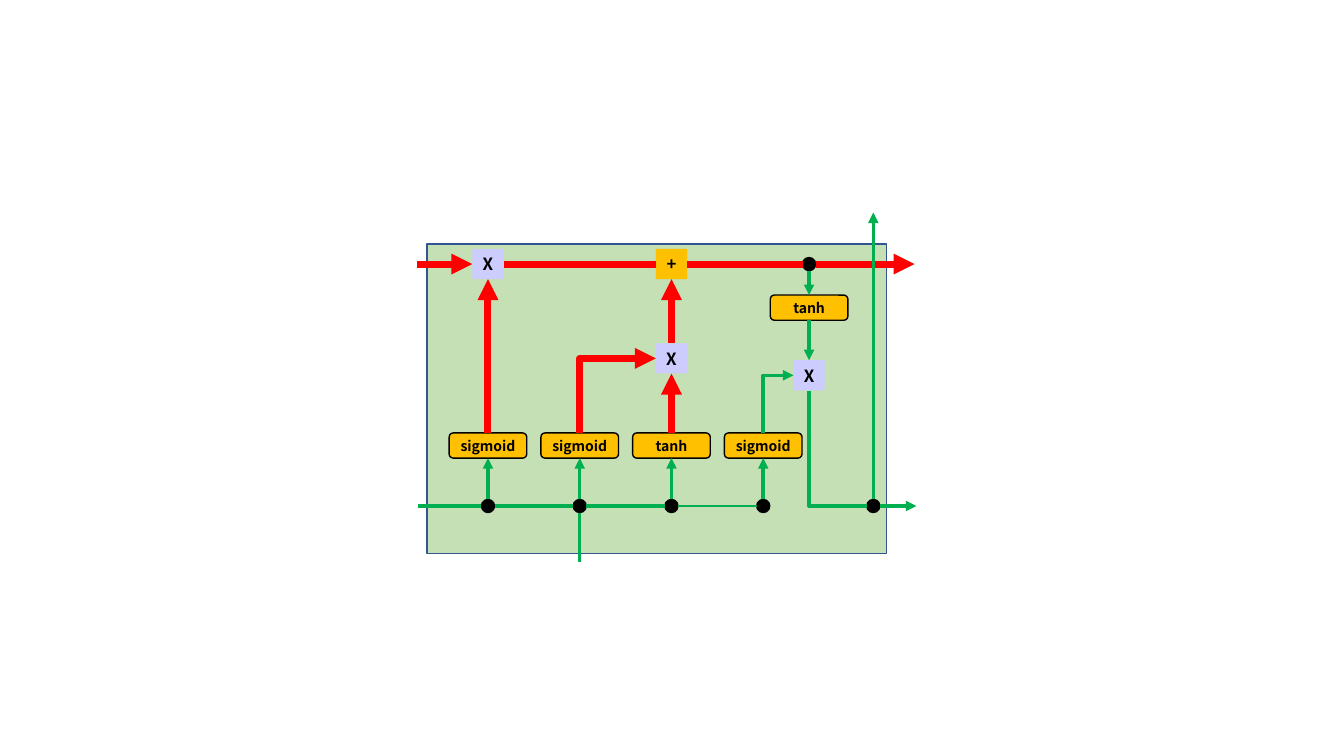
from pptx import Presentation
from pptx.dml.color import RGBColor
from pptx.enum.shapes import MSO_CONNECTOR, MSO_SHAPE
from pptx.enum.text import MSO_ANCHOR, PP_ALIGN
from pptx.oxml.ns import qn
from pptx.util import Inches, Pt
from lxml import etree

RECT, ROUNDED, OVAL = MSO_SHAPE.RECTANGLE, MSO_SHAPE.ROUNDED_RECTANGLE, MSO_SHAPE.OVAL
STRAIGHT = MSO_CONNECTOR.STRAIGHT
CENTER, MIDDLE = PP_ALIGN.CENTER, MSO_ANCHOR.MIDDLE

FONT = "Noto Sans CJK KR"
BLACK, AMBER, LILAC = "000000", "FFC000", "CCCCFF"
CELL_FILL, CELL_LINE = "C5E0B4", "325491"
STATE_FLOW, HIDDEN_FLOW, THIN_FLOW = ("FF0000", 5), ("00B050", 2.5), ("00B050", 2)

# The grid starts at the forget gate's column and the cell state's row.
GRID_LEFT, GRID_TOP = 4.84, 2.62
COLUMN, ROW = 0.91, 0.24
OUTPUT_COLUMN, EXIT_COLUMN = 3.5, 4.2
STATE_ROW, TANH_ROW, CANDIDATE_ROW, OUTPUT_ROW, GATE_ROW, HIDDEN_ROW = 0, 1.8, 3.9, 4.6, 7.5, 10

# Share of the width and height at which each side's midpoint lies
SIDES = {"top": (0.5, 0), "bottom": (0.5, 1), "left": (0, 0.5), "right": (1, 0.5)}


def rgb(code):
    return RGBColor.from_string(code)


def point(column, row):
    """Turn a grid position into slide coordinates."""
    return Inches(GRID_LEFT + column * COLUMN), Inches(GRID_TOP + row * ROW)


def side(shape, name):
    """Find the midpoint of one side of a shape."""
    across, down = SIDES[name]
    return shape.left + int(shape.width * across), shape.top + int(shape.height * down)


class Diagram:
    def __init__(self, slide):
        self.shapes = slide.shapes

    def block(self, kind, column, row, size, fill, outline=None):
        """Draw a filled shape centred on a grid position."""
        x, y = point(column, row)
        width, height = map(Inches, size)
        shape = self.shapes.add_shape(kind, x - width // 2, y - height // 2, width, height)
        shape.shadow.inherit = False
        shape.fill.solid()
        shape.fill.fore_color.rgb = rgb(fill)
        if outline:
            shape.line.color.rgb = rgb(outline)
            shape.line.width = Pt(1)
        else:
            shape.line.fill.background()
        return shape

    def label(self, shape, text, size):
        frame = shape.text_frame
        frame.word_wrap = False
        frame.vertical_anchor = MIDDLE
        paragraph = frame.paragraphs[0]
        paragraph.text = text
        paragraph.alignment = CENTER
        font = paragraph.font
        font.name, font.size, font.bold = FONT, Pt(size), True
        font.color.rgb = rgb(BLACK)
        return shape

    def activation(self, text, column, row):
        return self.label(self.block(ROUNDED, column, row, (0.77, 0.25), AMBER, BLACK), text, 10)

    def operator(self, text, column, row, fill=LILAC):
        return self.label(self.block(RECT, column, row, (0.31, 0.3), fill), text, 12)

    def junction(self, column, row):
        return self.block(OVAL, column, row, (0.13, 0.13), BLACK, BLACK)

    def link(self, start, end, flow, arrow=True):
        color, width = flow
        connector = self.shapes.add_connector(STRAIGHT, *start, *end)
        connector.line.color.rgb = rgb(color)
        connector.line.width = Pt(width)
        if arrow:
            outline = connector.line._get_or_add_ln()
            etree.SubElement(outline, qn("a:tailEnd"), type="triangle")
        etree.SubElement(connector._element.spPr, qn("a:effectLst"))
        return connector

    def bend(self, start, end, flow, arrow=True):
        """Link vertically first, then to the right, by turning a one-bend connector."""
        (x1, y1), (x2, y2) = start, end
        middle_x, middle_y = (x1 + x2) // 2, (y1 + y2) // 2
        half_rise, half_run = abs(y2 - y1) // 2, (x2 - x1) // 2
        upward = y2 < y1
        if not upward:
            half_run = -half_run
        connector = self.link((middle_x + half_rise, middle_y + half_run),
                              (middle_x - half_rise, middle_y - half_run), flow, arrow)
        properties = connector._element.spPr
        properties.find(qn("a:prstGeom")).set("prst", "bentConnector2")
        properties.find(qn("a:xfrm")).set("rot", str((90 if upward else 270) * 60000))


def draw_cell(diagram):
    diagram.block(RECT, 1.84, 5.56, (4.56, 3.07), CELL_FILL, CELL_LINE)
    gates = [diagram.activation(text, column, GATE_ROW)
             for column, text in enumerate(["sigmoid", "sigmoid", "tanh", "sigmoid"])]
    forget_gate, input_gate, candidate, output_gate = gates
    inputs = [diagram.junction(column, HIDDEN_ROW) for column in range(len(gates))]
    forget = diagram.operator("X", 0, STATE_ROW)
    add = diagram.operator("+", 2, STATE_ROW, AMBER)
    scale = diagram.operator("X", 2, CANDIDATE_ROW)
    output = diagram.operator("X", OUTPUT_COLUMN, OUTPUT_ROW)
    squash = diagram.activation("tanh", OUTPUT_COLUMN, TANH_ROW)
    state_tap = diagram.junction(OUTPUT_COLUMN, STATE_ROW)
    exit_tap = diagram.junction(EXIT_COLUMN, HIDDEN_ROW)

    # Hidden state and input feed the gates
    diagram.link(point(-0.76, HIDDEN_ROW), side(inputs[0], "left"), HIDDEN_FLOW, False)
    for left, right in zip(inputs, inputs[1:]):
        flow = THIN_FLOW if right is inputs[-1] else HIDDEN_FLOW
        diagram.link(side(left, "right"), side(right, "left"), flow, False)
    diagram.link(side(inputs[1], "bottom"), point(1, 12.33), HIDDEN_FLOW, False)
    for tap, gate in zip(inputs, gates):
        diagram.link(side(tap, "top"), side(gate, "bottom"), HIDDEN_FLOW)

    # Gates act on the cell state
    diagram.bend(side(input_gate, "top"), side(scale, "left"), STATE_FLOW)
    diagram.bend(side(output_gate, "top"), side(output, "left"), HIDDEN_FLOW)
    for lower, upper in [(candidate, scale), (scale, add), (forget_gate, forget)]:
        diagram.link(side(lower, "top"), side(upper, "bottom"), STATE_FLOW)

    # Cell state runs along the top
    diagram.link(point(-0.77, STATE_ROW), side(forget, "left"), STATE_FLOW)
    for left, right in [(forget, add), (add, state_tap)]:
        diagram.link(side(left, "right"), side(right, "left"), STATE_FLOW, False)
    diagram.link(side(state_tap, "right"), point(4.65, STATE_ROW), STATE_FLOW)

    # Hidden state leaves the cell
    for upper, lower in [(state_tap, squash), (squash, output)]:
        diagram.link(side(upper, "bottom"), side(lower, "top"), HIDDEN_FLOW)
    diagram.bend(side(output, "bottom"), side(exit_tap, "left"), HIDDEN_FLOW, False)
    diagram.link(side(exit_tap, "top"), point(EXIT_COLUMN, -2.13), HIDDEN_FLOW)
    diagram.link(side(exit_tap, "right"), point(4.67, HIDDEN_ROW), HIDDEN_FLOW)


def main():
    deck = Presentation()
    deck.slide_width, deck.slide_height = Inches(13.33), Inches(7.5)
    draw_cell(Diagram(deck.slides.add_slide(deck.slide_layouts[6])))
    deck.save("out.pptx")


if __name__ == "__main__":
    main()
